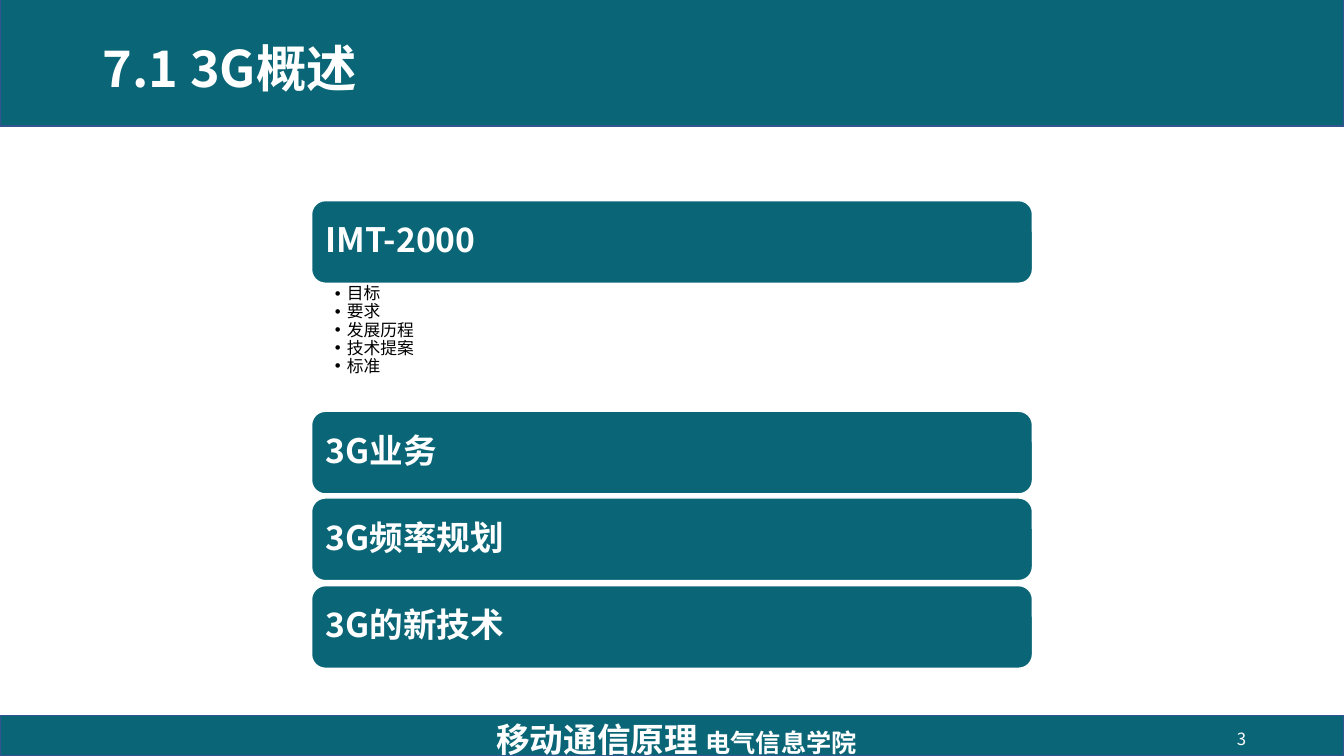
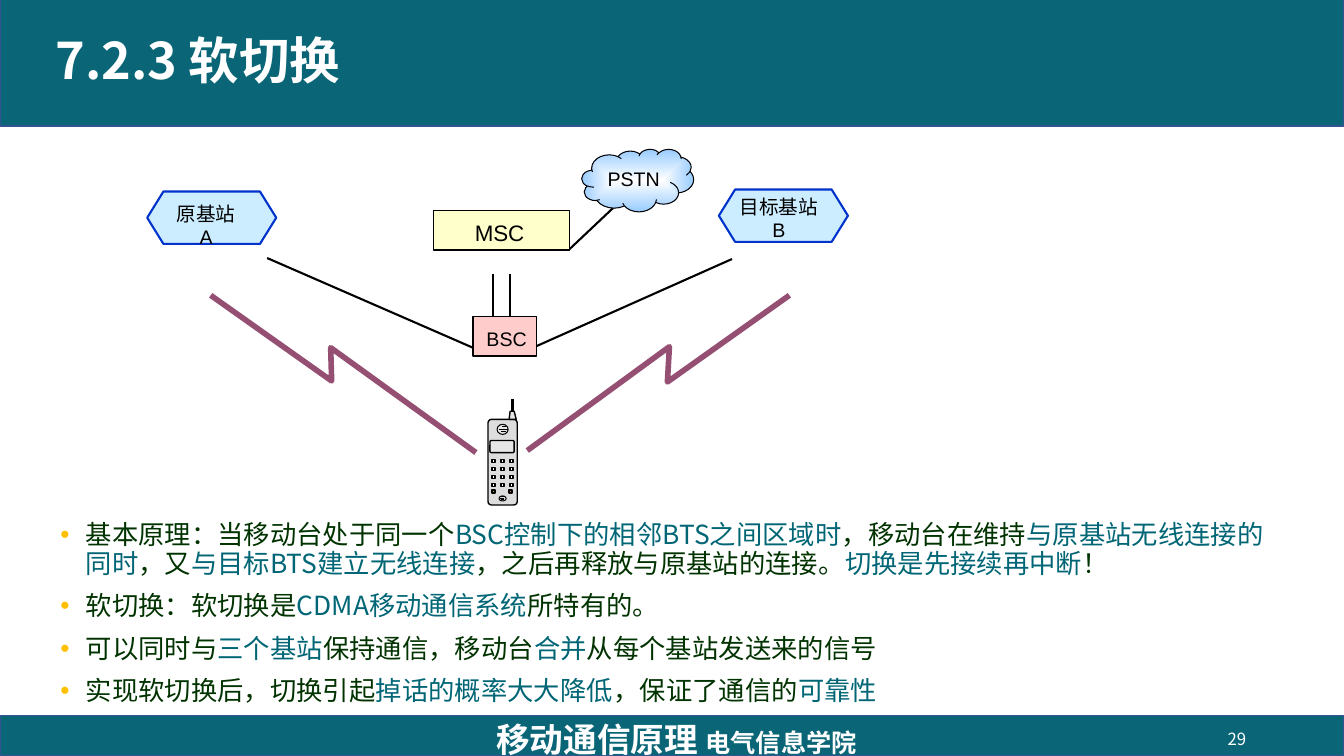
from lxml.etree import SubElement
from pptx import Presentation
from pptx.dml.color import RGBColor
from pptx.enum.shapes import MSO_CONNECTOR, MSO_SHAPE
from pptx.enum.text import MSO_ANCHOR, MSO_AUTO_SIZE, PP_ALIGN
from pptx.oxml.ns import qn
from pptx.util import Inches, Pt

TEAL, BAND_EDGE, WHITE, BLACK = "0A6677", "325491", "FFFFFF", "000000"
BODY_TEXT, KEY_TEXT, BULLET = "003300", "006676", "FFC000"
RADIO, GREY = "954F72", "E7E6E6"
CJK, LATIN = "Noto Sans CJK SC", "Arial"

BANDS = [(0, -0.01, 13.33, 1.26), (0, 7.1, 13.33, 0.4)]
FOOTER = [("移动通信原理 ", 24), ("电气信息学院", 18)]

# Overview slide
TOPICS = ["IMT-2000", "3G业务", "3G频率规划", "3G的新技术"]
TOPIC_TOPS = [1.99, 4.08, 4.94, 5.81]
IMT_POINTS = ["目标", "要求", "发展历程", "技术提案", "标准"]

# Soft handover slide: in each paragraph plain and key phrases alternate
PRINCIPLES = [
    ["基本原理：当移动台处于同一个", "BSC控制下的相邻BTS之间区域时", "，移动台在维持",
     "与原基站无线连接的同时", "，又", "与目标BTS建立无线连接",
     "，之后再释放与原基站的连接。", "切换是先接续再中断", "！"],
    ["软切换：软切换是", "CDMA移动通信系统", "所特有的。"],
    ["可以同时与", "三个基站", "保持通信，移动台", "合并", "从每个基站发送来的信号"],
    ["实现软切换后，切换引起", "掉话的概率大大降低", "，保证了通信的", "可靠性"],
]
RADIO_LINKS = [
    [(2.09, 2.93), (3.29, 3.78), (3.28, 3.45), (4.72, 4.49)],
    [(7.83, 2.93), (6.62, 3.79), (6.64, 3.44), (5.23, 4.47)],
]
WIRES = [
    (5.15, 3.51, 7.26, 2.57), (4.76, 3.48, 2.65, 2.56), (5.64, 2.48, 6.18, 1.97),
    (4.89, 2.72, 4.89, 3.16), (5.06, 2.72, 5.06, 3.16),
]
STATIONS = [  # hexagon left and top, label box, label
    (1.46, 1.9, (1.66, 1.95, 0.77, 0.56), ["原基站", "A"]),
    (7.13, 1.88, (7.24, 1.88, 0.97, 0.56), ["目标基站", "B"]),
]
EXCHANGES = [  # box, fill, label, text size, insets
    ((4.3, 2.09, 1.35, 0.39), "FFFFCC", "MSC", 16, (0, 0.04, 0.04, 0)),
    ((4.69, 3.14, 0.63, 0.39), "FFCCCC", "BSC", 14, (0.04, 0.04, 0, 0)),
]
KEY_LEFTS, KEY_TOPS = [4.88, 4.97, 5.06], [4.56, 4.64, 4.72, 4.8]
CALL_KEYS = [(4.88, "99CC00"), (5.05, "FF682B")]
GRILLE = [  # earpiece and microphone lines
    (4.95, 4.26, 5.04, 4.26), (4.97, 4.28, 5.02, 4.28), (4.98, 4.23, 5.02, 4.23),
    (4.96, 4.95, 5, 4.95), (4.97, 4.96, 5, 4.96), (4.97, 4.93, 5, 4.93),
]


def rgb(value):
    return RGBColor.from_string(value)


def place(shape, box):
    shape.left, shape.top, shape.width, shape.height = map(Inches, box)
    return shape


def write(shape, paragraphs, size=18, color=BLACK, font=CJK, bold=False,
          align=PP_ALIGN.LEFT, anchor=MSO_ANCHOR.MIDDLE, inset=(0.1, 0.05, 0.1, 0.05),
          wrap=True, spacing=1, before=0, indent=0, bullet=None):
    """Fill a shape; a paragraph is a string or a list of (text, format) runs."""
    frame = shape.text_frame
    frame.auto_size, frame.word_wrap = MSO_AUTO_SIZE.NONE, wrap
    frame.vertical_anchor = anchor
    (frame.margin_left, frame.margin_top,
     frame.margin_right, frame.margin_bottom) = map(Inches, inset)
    for number, runs in enumerate(paragraphs):
        paragraph = frame.add_paragraph() if number else frame.paragraphs[0]
        paragraph.alignment, paragraph.line_spacing = align, spacing
        paragraph.space_before, paragraph.space_after = Pt(before), Pt(0)
        if bullet:
            properties = paragraph._p.get_or_add_pPr()
            properties.set("marL", str(Inches(indent)))
            properties.set("indent", str(-Inches(indent)))
            SubElement(SubElement(properties, qn("a:buClr")), qn("a:srgbClr"), val=bullet)
            SubElement(properties, qn("a:buFont"), typeface=LATIN)
            SubElement(properties, qn("a:buChar"), char="•")
        for text, own in [(runs, {})] if isinstance(runs, str) else runs:
            run = paragraph.add_run()
            run.text = text
            run.font.size = Pt(own.get("size", size))
            run.font.color.rgb = rgb(own.get("color", color))
            run.font.bold, run.font.name = bold, font
            SubElement(run._r.get_or_add_rPr(), qn("a:ea"), typeface=CJK)
    return shape


def style(shape, fill, line, width):
    shape.shadow.inherit = False
    if fill:
        shape.fill.solid()
        shape.fill.fore_color.rgb = rgb(fill)
    else:
        shape.fill.background()
    shape.line.color.rgb = rgb(line)
    shape.line.width = Pt(width)
    return shape


def add_preset(slide, preset, box, fill, line=BLACK, width=1):
    return style(slide.shapes.add_shape(preset, *map(Inches, box)), fill, line, width)


def add_outline(slide, points, fill=None, line=BLACK, width=1, close=False):
    corners = [(Inches(x), Inches(y)) for x, y in points]
    builder = slide.shapes.build_freeform(*corners[0])
    builder.add_line_segments(corners[1:], close=close)
    return style(builder.convert_to_shape(), fill, line, width)


def add_line(slide, ends, width):
    line = slide.shapes.add_connector(MSO_CONNECTOR.STRAIGHT, *map(Inches, ends))
    line.line.color.rgb = rgb(BLACK)
    line.line.width = Pt(width)
    SubElement(line.element.spPr, qn("a:effectLst"))


def add_text(slide, box, paragraphs, **form):
    return write(slide.shapes.add_textbox(*map(Inches, box)), paragraphs, **form)


def furnish_layout(layout, slide):
    """Draw bands and footer on the slide, then move them to its layout."""
    shared = [add_preset(slide, MSO_SHAPE.RECTANGLE, band, TEAL, BAND_EDGE) for band in BANDS]
    shared.append(add_text(slide, (4.46, 7.13, 4.5, 0.4),
                           [[(text, {"size": size}) for text, size in FOOTER]],
                           color=WHITE, bold=True, align=PP_ALIGN.CENTER))
    for number, shape in enumerate(shared):
        shape.element.xpath(".//p:cNvPr")[0].set("id", str(50 + number))
        layout.shapes.element.insert(2 + number, shape.element)


def start_slide(deck, title, title_box, number):
    slide = deck.slides.add_slide(deck.slide_layouts[1])
    write(place(slide.shapes.title, title_box), [title],
          size=36, color=WHITE, bold=True, spacing=0.9)
    add_text(slide, (9.46, 7.13, 3, 0.4), [number],
             size=12, color=WHITE, align=PP_ALIGN.RIGHT)
    return slide


def draw_overview(slide):
    for topic, top in zip(TOPICS, TOPIC_TOPS):
        bar = add_preset(slide, MSO_SHAPE.ROUNDED_RECTANGLE, (3.09, top, 7.15, 0.82), TEAL, WHITE)
        write(bar, [topic], size=24, color=WHITE, bold=True, spacing=0.9,
              inset=(0.1, 0.06, 0.1, 0.06))
    write(place(slide.placeholders[1], (3.09, 2.81, 7.15, 1.27)), IMT_POINTS,
          size=12, anchor=MSO_ANCHOR.TOP, inset=(0.23, 0.02, 0.12, 0.02),
          spacing=0.9, indent=0.12, bullet=BLACK)


def draw_network(slide):
    label = {"font": LATIN, "align": PP_ALIGN.CENTER, "wrap": False}
    for link in RADIO_LINKS:
        add_outline(slide, link, line=RADIO, width=4)
    for wire in WIRES:
        add_line(slide, wire, 1.5)
    for left, top, label_box, name in STATIONS:
        station = add_preset(slide, MSO_SHAPE.HEXAGON, (left, top, 1.28, 0.52),
                             "CCECFF", "0033CC", 1.5)
        station.adjustments[0] = 0.31
        add_text(slide, label_box, name, size=14, anchor=MSO_ANCHOR.TOP, **label)

    cloud = add_preset(slide, MSO_SHAPE.CLOUD, (5.77, 1.48, 1.11, 0.62), WHITE, width=0.75)
    cloud.fill.gradient()
    for stop, position, color in zip(cloud.fill.gradient_stops, (0, 1), (WHITE, "99CCFF")):
        stop.position, stop.color.rgb = position, rgb(color)
    gradient = cloud.element.spPr.find(qn("a:gradFill"))
    gradient.remove(gradient.find(qn("a:lin")))
    centre = SubElement(gradient, qn("a:path"), {"path": "rect"})
    SubElement(centre, qn("a:fillToRect"), dict.fromkeys("ltrb", "50000"))
    write(cloud, ["PSTN"], size=14, inset=(0, 0, 0, 0), **label)

    for box, fill, name, size, inset in EXCHANGES:
        write(add_preset(slide, MSO_SHAPE.RECTANGLE, box, fill), [name],
              size=size, inset=inset, **label)


def draw_handset(slide):
    for box, fill in [((4.84, 4.16, 0.29, 0.85), "DDDDDD"), ((4.86, 4.37, 0.24, 0.12), GREY)]:
        add_preset(slide, MSO_SHAPE.ROUNDED_RECTANGLE, box, fill).adjustments[0] = 0.12
    for box in [(4.93, 4.21, 0.11, 0.1), (4.95, 4.92, 0.07, 0.05)]:
        add_preset(slide, MSO_SHAPE.OVAL, box, GREY, width=0.75)
    add_outline(slide, [(5.06, 4.08), (5.05, 4.16), (5.12, 4.16), (5.1, 4.08)], GREY, close=True)
    add_line(slide, (5.08, 4.08, 5.08, 3.96), 2.25)
    keys = [(left, top, WHITE) for top in KEY_TOPS for left in KEY_LEFTS]
    keys += [(left, 4.86, fill) for left, fill in CALL_KEYS]
    for left, top, fill in keys:
        add_preset(slide, MSO_SHAPE.RECTANGLE, (left, top, 0.03, 0.03), fill)
    for ends in GRILLE:
        add_line(slide, ends, 0.75)


def draw_handover(slide):
    principles = [
        [(text, {"color": (BODY_TEXT, KEY_TEXT)[i % 2]}) for i, text in enumerate(phrases)]
        for phrases in PRINCIPLES
    ]
    write(place(slide.placeholders[1], (0.5, 5.13, 12.33, 2.07)), principles,
          size=18.8, anchor=MSO_ANCHOR.TOP, spacing=0.9, before=10,
          indent=0.25, bullet=BULLET)
    draw_network(slide)
    draw_handset(slide)


def main():
    deck = Presentation()
    deck.slide_width, deck.slide_height = Inches(13.33), Inches(7.5)
    overview = start_slide(deck, "7.1 3G概述", (0.92, 0, 6.59, 1.42), "3")
    furnish_layout(deck.slide_layouts[1], overview)
    draw_overview(overview)
    draw_handover(start_slide(deck, "7.2.3 软切换", (0.45, -0.1, 11.5, 1.45), "29"))
    deck.save("out.pptx")


if __name__ == "__main__":
    main()
